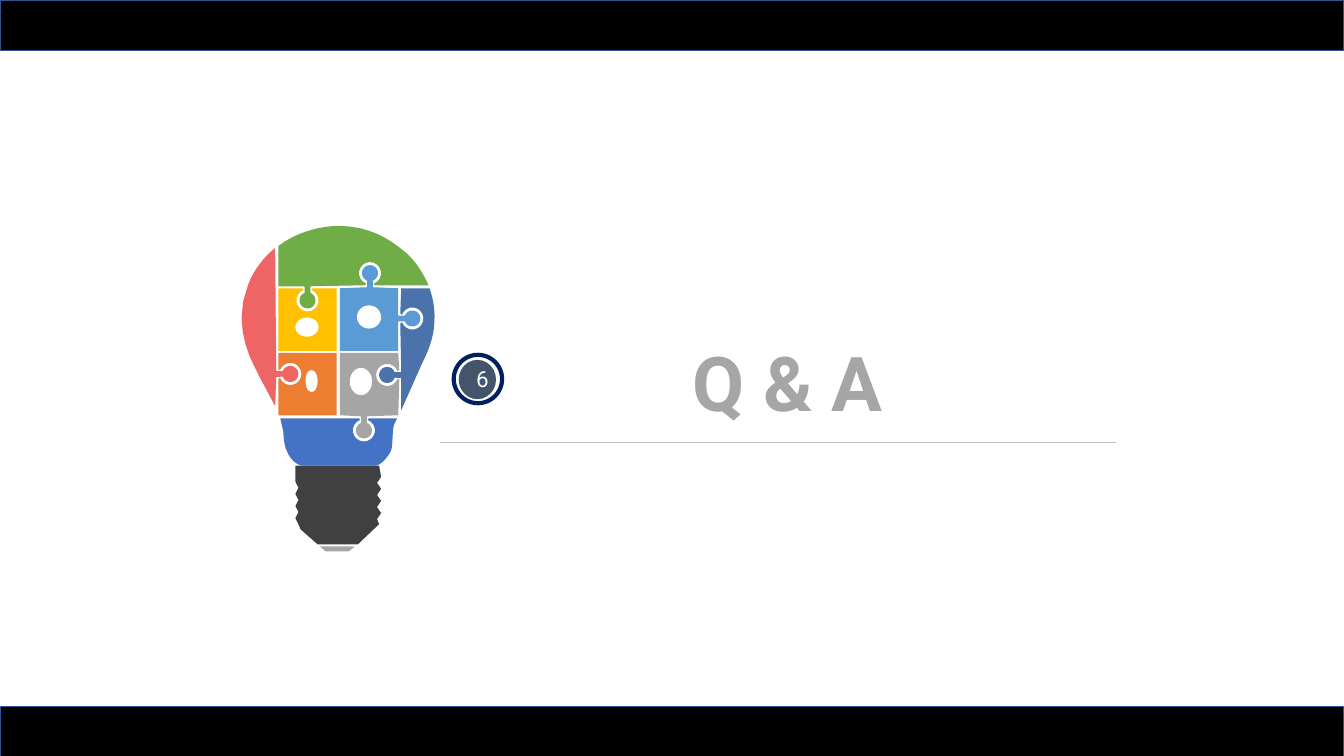
from dataclasses import dataclass
from math import cos, radians, sin
from lxml.etree import SubElement
from pptx import Presentation
from pptx.dml.color import RGBColor
from pptx.enum.shapes import MSO_CONNECTOR, MSO_SHAPE
from pptx.enum.text import MSO_ANCHOR, MSO_AUTO_SIZE, PP_ALIGN
from pptx.oxml.ns import qn
from pptx.util import Inches, Pt


@dataclass(frozen=True)
class Theme:
    font: str = "Roboto"
    title_size: int = 54
    number_size: int = 16
    title: str = "A6A6A6"
    white: str = "FFFFFF"
    rule: str = "BFBFBF"
    ring: str = "002060"
    disc: str = "44546A"
    bar: str = "000000"
    bar_edge: str = "325491"
    gray: str = "A5A5A5"
    orange: str = "ED7D31"
    green: str = "70AD47"
    sky: str = "5B9BD5"
    steel: str = "4B72AB"
    blue: str = "4472C4"
    red: str = "EF6464"
    yellow: str = "FFC000"
    socket: str = "404040"
    tip: str = "A6A6A6"


theme = Theme()


def paint(shape, fill=None, line=None, width=1):
    shape.shadow.inherit = False
    if fill:
        shape.fill.solid()
        shape.fill.fore_color.rgb = RGBColor.from_string(fill)
    else:
        shape.fill.background()
    if line:
        shape.line.color.rgb = RGBColor.from_string(line)
        shape.line.width = Pt(width)
    else:
        shape.line.fill.background()


def knob(joint, radius=0.08, neck=0.03, reach=0.14):
    x, y, out_x, out_y = joint
    local = [(-neck, -reach)]
    for degrees in range(20, 341, 20):
        angle = radians(degrees)
        local.append((-radius * sin(angle), -radius * cos(angle)))
    local.append((neck, -reach))
    return [(x - out_y * along + out_x * out, y + out_x * along + out_y * out)
            for along, out in local]


deck = Presentation()
deck.slide_width = Inches(13.33)
deck.slide_height = Inches(7.5)
page = deck.slides.add_slide(deck.slide_layouts[5])

joints = {
    "green": (3.05, 2.98, 0, 1),
    "sky_up": (3.67, 2.71, 0, -1),
    "sky_right": (4.09, 3.16, 1, 0),
    "steel": (3.84, 3.72, -1, 0),
    "red": (2.88, 3.71, 1, 0),
    "gray": (3.61, 4.27, 0, 1),
}
tabs = {name: knob(joint) for name, joint in joints.items()}
slots = {name: knob(joint, 0.11, 0.05, 0.12)[::-1] for name, joint in joints.items()}

left, mid_left, mid_right, right = 2.76, 3.34, 3.37, 3.95
top, mid_top, mid_bottom, bottom = 2.86, 3.48, 3.5, 4.12
gap = 0.03
ridge_step = 0.06
ridges = range(8)
right_ridges = [(3.78 - 0.04 * (n % 2), 4.73 + n * ridge_step) for n in ridges]
left_ridges = [(2.93 + 0.03 * (n % 2), 4.78 + n * ridge_step) for n in ridges]

bulb_pieces = [
    (theme.gray, [(mid_right, mid_bottom), (right, mid_bottom), *slots["steel"],
                  (right, bottom), *tabs["gray"], (mid_right, bottom)]),
    (theme.orange, [(left, mid_bottom), (mid_left, mid_bottom), (mid_left, bottom),
                    (left, bottom), *slots["red"]]),
    (theme.green, [(left, 2.44), (2.96, 2.29, 3.2, 2.24, 3.37, 2.24),
                   (3.66, 2.25, 3.84, 2.35, 4.03, 2.51), (4.12, 2.59, 4.2, 2.71, 4.25, 2.83),
                   *slots["sky_up"], *tabs["green"], (left, 2.84)]),
    (theme.sky, [(mid_right, top), *tabs["sky_up"], (right, top), *tabs["sky_right"],
                 (right, mid_top), (mid_right, mid_top)]),
    (theme.steel, [(right + gap, top), (4.26, top), (4.3, 2.97, 4.31, 3.07, 4.31, 3.14),
                   (4.31, 3.3, 4.28, 3.42, 4.18, 3.62), (right + gap, 4.07),
                   *tabs["steel"], *slots["sky_right"]]),
    (theme.blue, [(2.78, 4.15), *slots["gray"], (3.94, 4.15), (3.91, 4.21),
                  (3.89, 4.26, 3.9, 4.4, 3.88, 4.47), (3.85, 4.53, 3.78, 4.62, 3.72, 4.62),
                  (3, 4.62), (2.95, 4.62, 2.81, 4.54, 2.81, 4.28)]),
    (theme.red, [(left - gap, 4.03), (2.57, 3.73), (2.54, 3.65, 2.28, 3.28, 2.46, 2.83),
                 (2.52, 2.67, 2.62, 2.55, left - gap, 2.46), *tabs["red"]]),
    (theme.yellow, [(left, top), *slots["green"], (mid_left, top), (mid_left, mid_top),
                    (left, mid_top)]),
    (theme.socket, [(2.93, 4.62), (3.76, 4.62), *right_ridges, (3.76, 5.2), (3.55, 5.4),
                    (3.15, 5.4), (2.98, 5.25), *left_ridges[::-1]]),
    (theme.tip, [(3.17, 5.42), (3.52, 5.42), (3.46, 5.47), (3.23, 5.47)]),
]
curve_steps = 8
for color, edges in bulb_pieces:
    points = [edges[0]]
    for edge in edges[1:]:
        if len(edge) == 2:
            points.append(edge)
            continue
        corners = [points[-1], edge[:2], edge[2:4], edge[4:]]
        for step in range(1, curve_steps + 1):
            t = step / curve_steps
            weights = [(1 - t) ** 3, 3 * t * (1 - t) ** 2, 3 * t ** 2 * (1 - t), t ** 3]
            points.append(tuple(sum(w * c[axis] for w, c in zip(weights, corners)) for axis in (0, 1)))
    points = [(Inches(x), Inches(y)) for x, y in points]
    outline = page.shapes.build_freeform(*points[0])
    outline.add_line_segments(points[1:], close=True)
    paint(outline.convert_to_shape(), color)

oval, bar = MSO_SHAPE.OVAL, MSO_SHAPE.RECTANGLE
white_dot = {"fill": theme.white}
black_bar = {"fill": theme.bar, "line": theme.bar_edge}
plain_shapes = [
    (oval, (2.93, 3.15, 0.23, 0.19), white_dot),
    (oval, (3.03, 3.67, 0.12, 0.22), white_dot),
    (oval, (3.54, 3.03, 0.24, 0.23), white_dot),
    (oval, (3.47, 3.65, 0.22, 0.27), white_dot),
    (oval, (4.5, 3.52, 0.48, 0.48), {"line": theme.ring, "width": 3}),
    (oval, (4.55, 3.57, 0.37, 0.39), {"fill": theme.disc}),
    (bar, (0, 0, 13.33, 0.5), black_bar),
    (bar, (0, 7.01, 13.33, 0.5), black_bar),
]
for kind, place, look in plain_shapes:
    paint(page.shapes.add_shape(kind, *map(Inches, place)), **look)

title = page.shapes.title
title_place = {"left": 4.97, "top": 3.28, "width": 5.68, "height": 1.01}
for name, value in title_place.items():
    setattr(title, name, Inches(value))

number = page.shapes.add_textbox(Inches(4.64), Inches(3.57), Inches(0.19), Inches(0.37))
number.text_frame.margin_right = 0

labels = [
    (title, "Q & A", theme.title, True, {"size": Pt(theme.title_size), "bold": True}),
    (number, "6", theme.white, False, {"size": Pt(theme.number_size), "bold": False}),
]
for box, text, color, wrap, font_format in labels:
    frame = box.text_frame
    frame.auto_size = MSO_AUTO_SIZE.NONE
    frame.word_wrap = wrap
    frame.vertical_anchor = MSO_ANCHOR.TOP
    para = frame.paragraphs[0]
    para.alignment = PP_ALIGN.CENTER
    para.line_spacing = 1.0
    span = para.add_run()
    span.text = text
    span.font.name = theme.font
    span.font.color.rgb = RGBColor.from_string(color)
    for name, value in font_format.items():
        setattr(span.font, name, value)

rule = page.shapes.add_connector(
    MSO_CONNECTOR.STRAIGHT, Inches(4.36), Inches(4.39), Inches(11.07), Inches(4.39))
rule.line.color.rgb = RGBColor.from_string(theme.rule)
rule.line.width = Pt(1)
SubElement(rule._element.spPr, qn("a:effectLst"))

deck.save("out.pptx")
